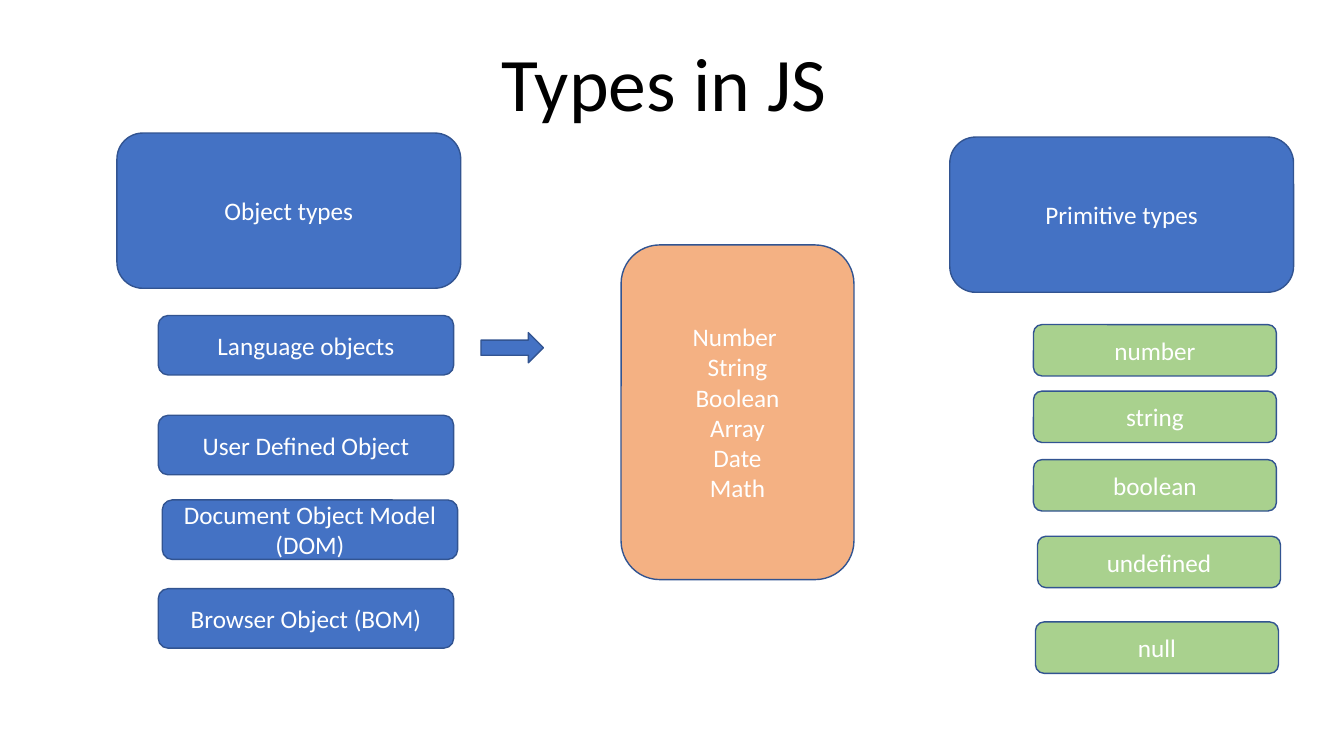
from dataclasses import dataclass

from pptx import Presentation
from pptx.dml.color import RGBColor
from pptx.enum.shapes import MSO_SHAPE as Preset
from pptx.enum.text import MSO_ANCHOR as Anchor, MSO_AUTO_SIZE as AutoSize, PP_ALIGN as Align
from pptx.util import Inches, Pt


@dataclass(frozen=True)
class Theme:
    """Colours, font, type sizes and grid cell of the deck."""

    font: str = "Calibri"
    title_size: int = 54
    body_size: int = 18
    ink: str = "000000"
    light: str = "FFFFFF"
    blue: str = "4472C4"
    green: str = "A9D18E"
    orange: str = "F4B183"
    outline: str = "325491"
    cell: float = 0.1


class Page:
    """Draws styled elements on one slide, placed in grid columns and rows."""

    def __init__(self, deck, theme):
        """Add a title-only slide to the deck."""
        self.theme = theme
        self.slide = deck.slides.add_slide(deck.slide_layouts[5])

    def grid(self, *cells):
        """Turn counts of columns or rows into lengths."""
        return [Inches(count * self.theme.cell) for count in cells]

    def set_text(self, frame, lines, size, colour):
        """Fill a text frame with centred paragraphs."""
        frame.text = "\n".join(lines)
        frame.word_wrap = True
        frame.auto_size = AutoSize.NONE
        for para in frame.paragraphs:
            para.alignment = Align.CENTER
            para.font.name = self.theme.font
            para.font.size = Pt(size)
            para.font.color.rgb = RGBColor.from_string(colour)

    def title(self, text, *place):
        """Place and format the title placeholder."""
        box = self.slide.shapes.title
        box.left, box.top, box.width, box.height = self.grid(*place)
        self.set_text(box.text_frame, [text], self.theme.title_size, self.theme.ink)
        box.text_frame.vertical_anchor = Anchor.BOTTOM
        box.text_frame.paragraphs[0].line_spacing = 0.9

    def shape(self, preset, fill, *place):
        """Add a filled and outlined preset shape."""
        shape = self.slide.shapes.add_shape(preset, *self.grid(*place))
        shape.shadow.inherit = False
        shape.fill.solid()
        shape.fill.fore_color.rgb = RGBColor.from_string(fill)
        shape.line.color.rgb = RGBColor.from_string(self.theme.outline)
        shape.line.width = Pt(1)
        return shape

    def box(self, lines, fill, *place):
        """Add a rounded box with centred text."""
        frame = self.shape(Preset.ROUNDED_RECTANGLE, fill, *place).text_frame
        self.set_text(frame, lines, self.theme.body_size, self.theme.light)
        frame.vertical_anchor = Anchor.MIDDLE

    def stack(self, items, fill, width, height):
        """Add one box of equal size per item of text, column and row."""
        for text, column, row in items:
            self.box([text], fill, column, row, width, height)


def main():
    """Build the slide and save it."""
    theme = Theme()
    deck = Presentation()
    deck.slide_width, deck.slide_height = Inches(13.33), Inches(7.5)
    page = Page(deck, theme)

    page.title("Types in JS ", 16.7, 4.9, 100, 8.3)
    families = [("Primitive types", 94.2, 13.6), ("Object types", 11.6, 13.2)]
    page.stack(families, theme.blue, 34.1, 15.4)

    primitives = [
        ("number", 102.5, 32.2),
        ("string", 102.5, 38.8),
        ("boolean", 102.5, 45.6),
        ("undefined", 102.9, 53.2),
        ("null", 102.7, 61.7),
    ]
    page.stack(primitives, theme.green, 24.1, 5.1)

    objects = [
        ("Language objects", 15.7, 31.3),
        ("User Defined Object", 15.7, 41.2),
        ("Document Object Model (DOM)", 16.1, 49.6),
        ("Browser Object (BOM)", 15.7, 58.4),
    ]
    page.stack(objects, theme.blue, 29.3, 5.9)

    page.shape(Preset.RIGHT_ARROW, theme.blue, 47.7, 33, 6.2, 3)
    builtins = ["Number ", "String", "Boolean", "Array", "Date", "Math"]
    page.box(builtins, theme.orange, 61.6, 24.3, 23.1, 33.2)

    deck.save("out.pptx")


if __name__ == "__main__":
    main()
